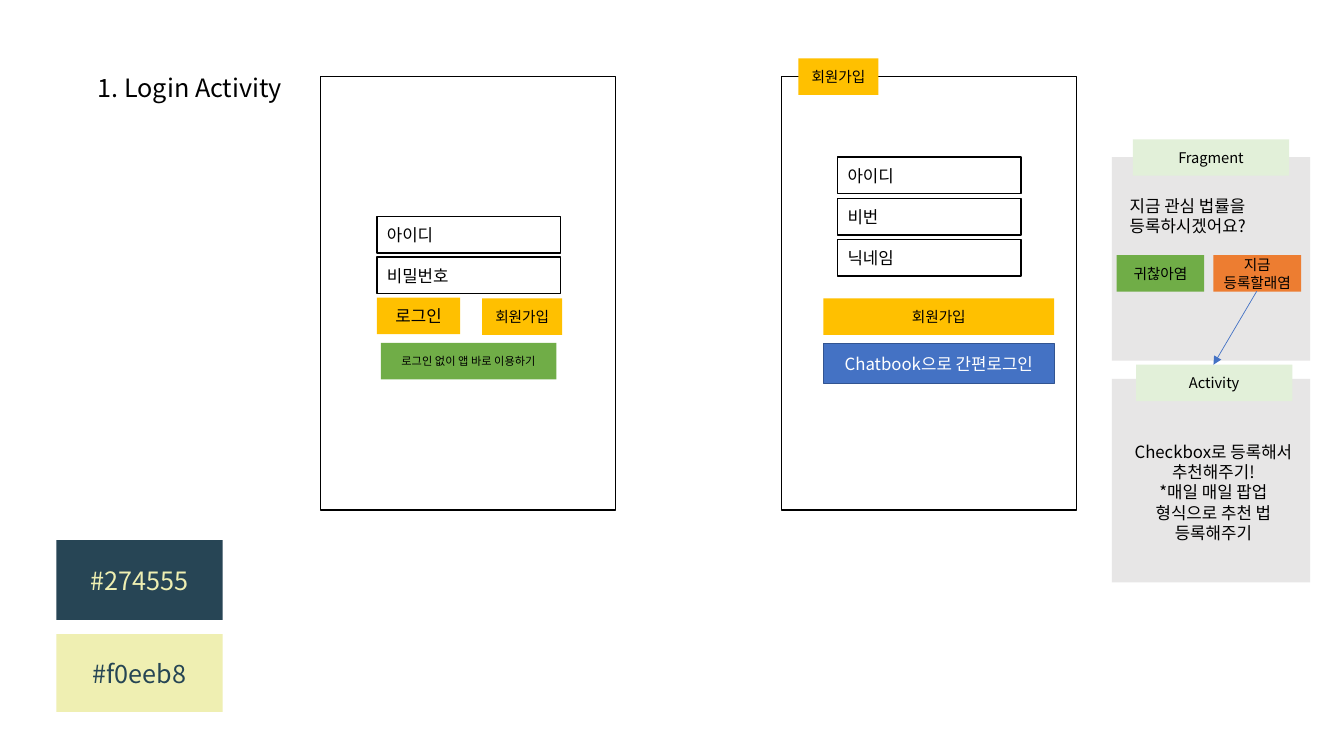
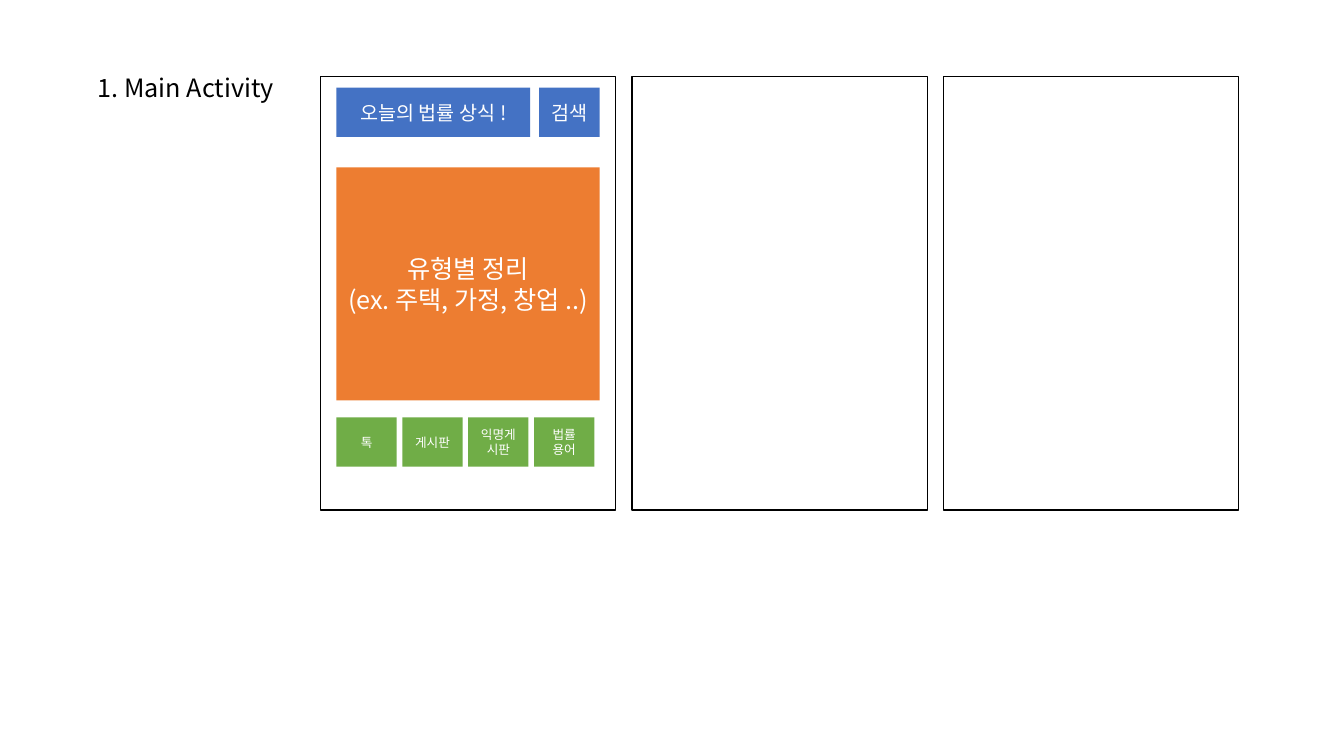
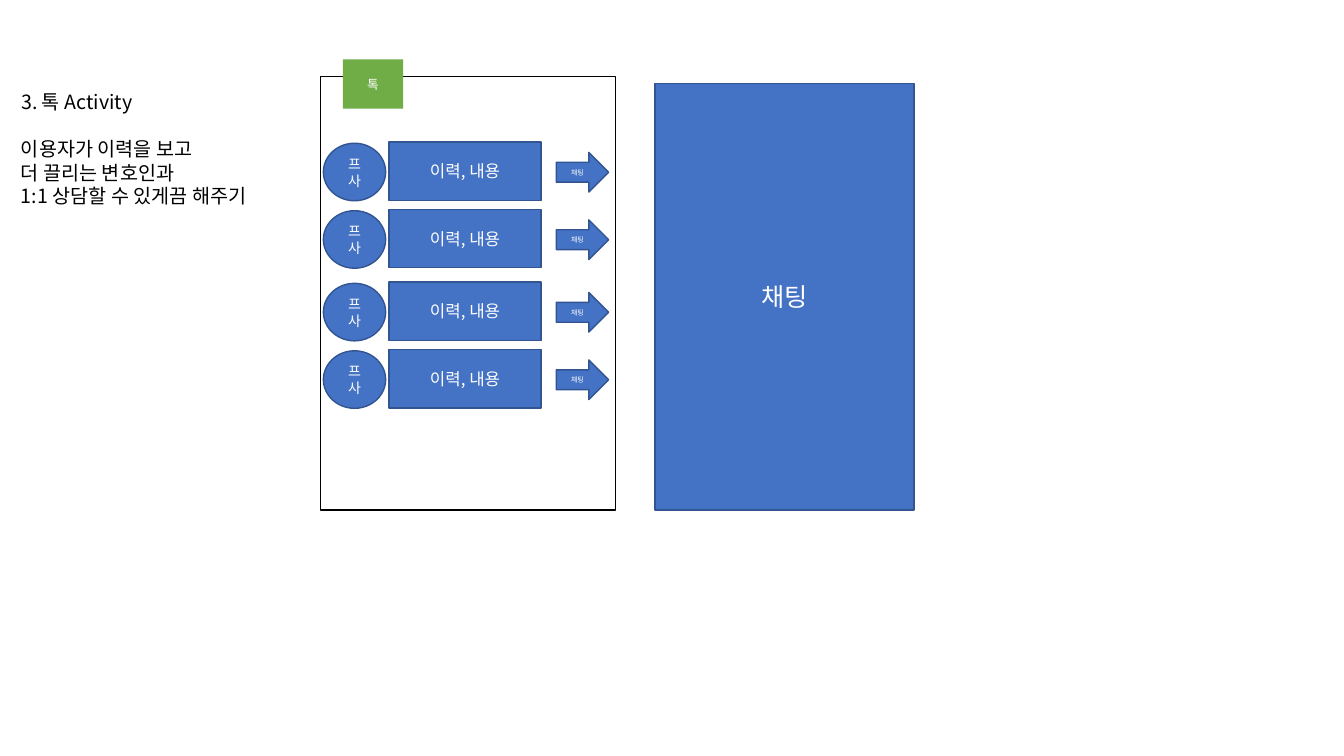
from lxml import etree
from pptx import Presentation
from pptx import util as u
from pptx.dml.color import RGBColor
from pptx.enum import shapes, text
from pptx.oxml.ns import qn

FONT = "Noto Sans CJK KR"
COLORS = {
    "black": "000000", "white": "FFFFFF", "yellow": "FFC000", "green": "70AD47",
    "blue": "4472C4", "edge": "325491", "orange": "ED7D31", "gray": "E7E6E6",
    "mint": "E2F0D9", "navy": "274555", "cream": "EFEFB2", "ink": "264554",
}
LEFT, CENTER = text.PP_ALIGN.LEFT, text.PP_ALIGN.CENTER
TOP, MIDDLE = text.MSO_ANCHOR.TOP, text.MSO_ANCHOR.MIDDLE
RECT = shapes.MSO_SHAPE.RECTANGLE
PHONE_X, PHONE_Y, PHONE_W, PHONE_H = 8.08, 1.93, 7.44, 10.92
FIELD_H = 0.92


def rgb(name):
    return RGBColor.from_string(COLORS[name])


class Deck:
    """Shared style and the slide being drawn; positions are in centimetres."""

    def __init__(self):
        self.prs = Presentation()
        self.prs.slide_width, self.prs.slide_height = u.Cm(33.87), u.Cm(19.05)

    def slide(self, title, x, y, w, size=18):
        self.s = self.prs.slides.add_slide(self.prs.slide_layouts[5])
        self.parent = self.s.shapes
        sp = self.s.shapes.title
        sp.left, sp.top, sp.width, sp.height = map(u.Cm, (x, y, w, 1.02))
        self.put_text(sp, title, size, "black", LEFT, TOP, wrap=False)

    def group(self):
        self.parent = self.s.shapes.add_group_shape().shapes

    def ungroup(self):
        self.parent = self.s.shapes

    def put_text(self, sp, words, size, color, align=CENTER, anchor=MIDDLE, wrap=True):
        tf = sp.text_frame
        tf.text = words
        tf.word_wrap, tf.vertical_anchor = wrap, anchor
        tf.auto_size = text.MSO_AUTO_SIZE.NONE
        for p in tf.paragraphs:
            p.alignment = align
            for r in p.runs:
                r.font.size, r.font.name = u.Pt(size), FONT
                r.font.color.rgb = rgb(color)
                # Korean glyphs take the East Asian face
                etree.SubElement(r.font._element, qn("a:ea")).set("typeface", FONT)

    def label(self, words, x, y, w, h, size, **style):
        sp = self.parent.add_textbox(*map(u.Cm, (x, y, w, h)))
        self.put_text(sp, words, size, "black", **style)

    def box(self, x, y, w, h, fill=None, words="", size=12, color="black",
            line=None, align=CENTER, kind=RECT):
        sp = self.parent.add_shape(kind, *map(u.Cm, (x, y, w, h)))
        sp.shadow.inherit = False
        if fill:
            sp.fill.solid()
            sp.fill.fore_color.rgb = rgb(fill)
        else:
            sp.fill.background()
        if line:
            sp.line.color.rgb, sp.line.width = rgb(line), u.Pt(1)
        else:
            sp.line.fill.background()
        if words:
            self.put_text(sp, words, size, color, align)

    def phone(self, x=PHONE_X):
        self.box(x, PHONE_Y, PHONE_W, PHONE_H, line="black")

    def fields(self, x, y, step, names):
        for i, name in enumerate(names):
            self.box(x, y + i * step, 4.62, FIELD_H, words=name, line="black", align=LEFT)

    def button(self, x, y, w, fill, words, size=10.5):
        self.box(x, y, w, FIELD_H, fill, words, size)

    def arrow(self, x1, y1, x2, y2):
        cn = self.parent.add_connector(
            shapes.MSO_CONNECTOR.STRAIGHT, *map(u.Cm, (x1, y1, x2, y2)))
        cn.line.color.rgb, cn.line.width = rgb("blue"), u.Pt(0.5)
        props = cn._element.spPr
        etree.SubElement(props.find(qn("a:ln")), qn("a:tailEnd")).set("type", "triangle")
        etree.SubElement(props, qn("a:effectLst"))


d = Deck()

# Slide 1: login screen
d.slide("1. Login Activity", 2.21, 1.7, 5.18)
d.phone()
d.fields(9.5, 5.46, 1.02, ["아이디", "비밀번호"])
d.button(9.5, 7.5, 2.1, "yellow", "로그인", 12)
d.button(12.15, 7.52, 2.02, "yellow", "회원가입")
d.button(9.6, 8.64, 4.42, "green", "로그인 없이 앱 바로 이용하기", 8)

# Sign-up screen
d.phone(19.69)
d.button(20.12, 1.47, 2.02, "yellow", "회원가입")
d.fields(21.11, 3.96, 1.04, ["아이디", "비번", "닉네임"])
d.button(20.75, 7.52, 5.82, "yellow", "회원가입")
d.box(20.75, 8.66, 5.82, 1, "blue", "Chatbook으로 간편로그인", 12, "white", "edge")

# Follow-up panels
for y, tab_x, tab_y, name in [(3.96, 28.55, 3.51, "Fragment"), (9.55, 28.63, 9.19, "Activity")]:
    d.box(28.02, y, 5, 5.13, "gray")
    d.button(tab_x, tab_y, 3.94, "mint", name)
d.label("지금 관심 법률을 등록하시겠어요?", 28.22, 4.98, 4.62, FIELD_H, 12, align=LEFT)
d.button(30.58, 6.43, 2.21, "orange", "지금 등록할래염")
d.button(28.14, 6.43, 2.21, "green", "귀찮아염")
d.arrow(31.67, 7.34, 30.58, 9.19)
d.label("Checkbox로 등록해서 추천해주기!\n*매일 매일 팝업 형식으로 추천 법 등록해주기",
        28.27, 11.2, 4.62, 2.41, 12)

# Colour swatches
d.box(1.42, 13.61, 4.19, 2.01, "navy", "#274555", 18, "cream")
d.box(1.42, 15.98, 4.19, 1.96, "cream", "#f0eeb8", 18, "ink")

# Slide 2: main screen
d.slide("1. Main Activity", 2.21, 1.7, 5.03)
d.group()
d.phone()
d.box(13.59, 2.21, 1.52, 1.24, "blue", "검색", 14, "white")
d.box(8.48, 4.22, 6.63, 5.87, "orange", "유형별 정리\n(ex. 주택, 가정, 창업 ..)", 18, "white")
d.box(8.48, 2.21, 4.88, 1.24, "blue", "오늘의 법률 상식 !", 14, "white")
for i, name in enumerate(["톡", "게시판", "익명게시판", "법률 용어"]):
    d.box(8.48 + i * 1.66, 10.52, 1.52, 1.24, "green", name, 9, "white")
d.ungroup()
for i in (1, 2):
    d.phone(PHONE_X + i * 7.85)

# Slide 3: talk screen
d.slide("3. 톡 Activity", 0.28, 2.13, 3.6, 14)
d.label("이용자가 이력을 보고\n더 끌리는 변호인과\n1:1 상담할 수 있게끔 해주기",
        0.28, 3.33, 6.86, 2.06, 14, align=LEFT, anchor=TOP, wrap=False)
d.phone()
d.box(8.64, 1.5, 1.52, 1.24, "green", "톡", 9, "white")

# Profile rows, in two pairs
for i in range(4):
    y = 3.58 + i % 2 * 1.7 + i // 2 * 3.53
    d.box(8.15, y + 0.03, 1.57, 1.45, "blue", "프사", 10, "white", "edge",
          kind=shapes.MSO_SHAPE.OVAL)
    d.box(9.8, y, 3.84, 1.47, "blue", "이력, 내용", 12, "white", "edge")
    d.box(14.02, y + 0.26, 1.32, 1, "blue", "채팅", 5, "white", "edge",
          kind=shapes.MSO_SHAPE.RIGHT_ARROW)

# Chat screen
d.box(16.51, 2.11, 6.53, 10.74, "blue", "채팅", 18, "white", "edge")

d.prs.save("out.pptx")
